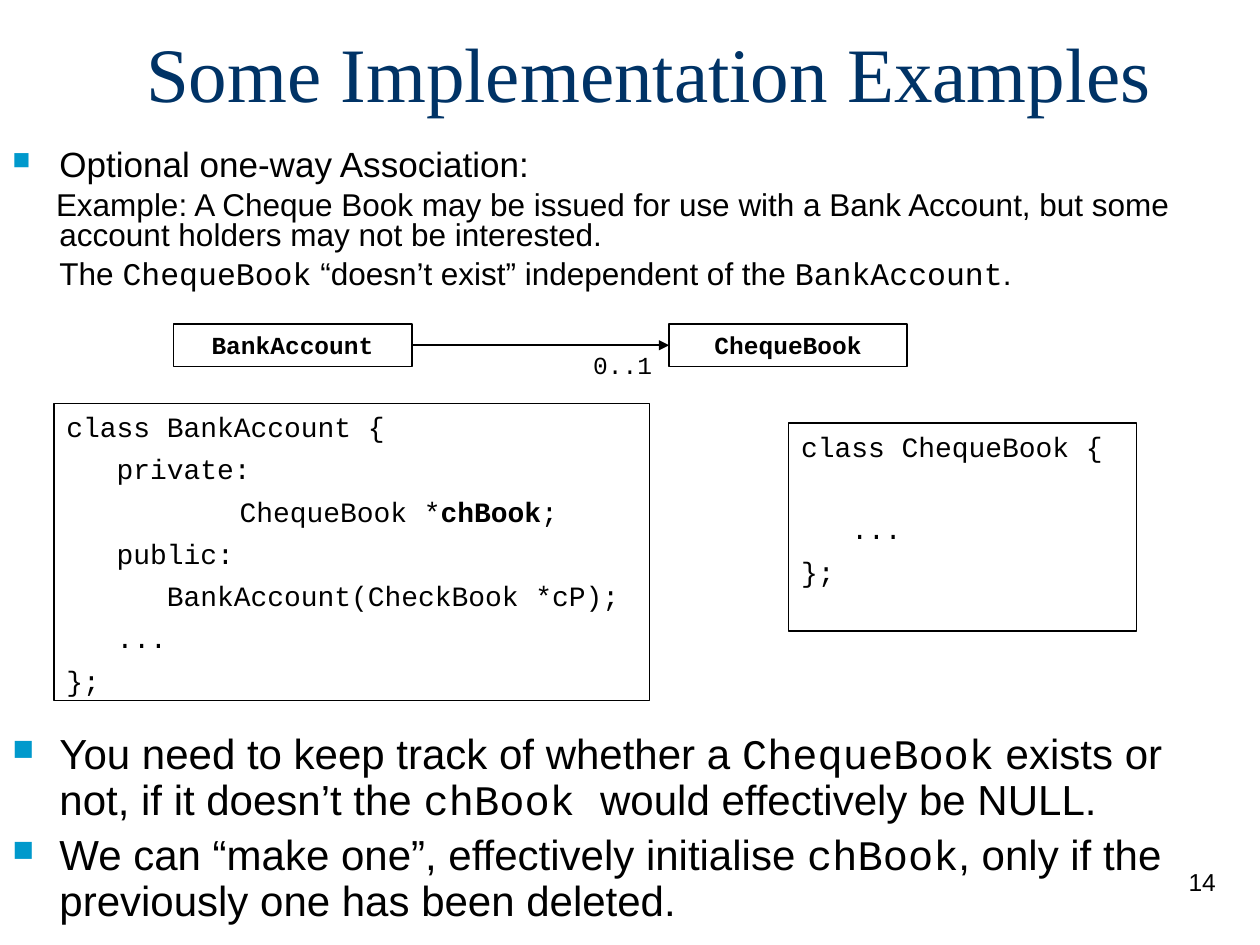
from dataclasses import dataclass

from lxml.etree import SubElement
from pptx import Presentation
from pptx.dml.color import RGBColor
from pptx.enum.shapes import MSO_CONNECTOR, MSO_SHAPE
from pptx.enum.text import MSO_ANCHOR, PP_ALIGN
from pptx.oxml.ns import qn
from pptx.util import Cm, Pt


@dataclass(frozen=True)
class Theme:
    navy: RGBColor = RGBColor(0x00, 0x33, 0x66)
    black: RGBColor = RGBColor(0, 0, 0)
    bullet: str = "0099CC"
    serif: str = "Times New Roman"
    sans: str = "Arial"
    mono: str = "Courier New"
    title: int = 44
    point: int = 24
    heading: int = 20
    detail: int = 18
    code: int = 16
    label: int = 14


theme = Theme()
HANGING = 0.95  # indent of bulleted text and of code, in cm


def add_box(left, top, width, height, line_width=None):
    """Add a text box, or an outlined rectangle when a line width is given."""
    area = Cm(left), Cm(top), Cm(width), Cm(height)
    if line_width is None:
        shape = slide.shapes.add_textbox(*area)
    else:
        shape = slide.shapes.add_shape(MSO_SHAPE.RECTANGLE, *area)
        shape.shadow.inherit = False
        shape.fill.background()
        shape.line.color.rgb = theme.black
        shape.line.width = Pt(line_width)
    shape.text_frame.word_wrap = True
    shape.text_frame.vertical_anchor = MSO_ANCHOR.TOP
    return shape


def add_text(shape, runs, size, font=theme.sans, color=theme.black, align=PP_ALIGN.LEFT,
             before=0, spacing=None, margin=0, indent=0, bullet=False):
    """Write one paragraph; runs are (text, style), style being "", "mono" or "bold"."""
    frame = shape.text_frame
    first = not frame.paragraphs[0].runs
    paragraph = frame.paragraphs[0] if first else frame.add_paragraph()
    properties = paragraph._p.get_or_add_pPr()
    properties.set("marL", str(Cm(margin)))
    properties.set("indent", str(Cm(indent)))
    if bullet:
        bullet_color = SubElement(properties, qn("a:buClr"))
        SubElement(bullet_color, qn("a:srgbClr"), val=theme.bullet)
        SubElement(properties, qn("a:buSzPct"), val="70000")
        SubElement(properties, qn("a:buChar"), char="■")
    paragraph.alignment = align
    paragraph.line_spacing = spacing
    paragraph.space_before = Pt(0 if first else before)
    paragraph.font.size = Pt(size)
    paragraph.font.name = font
    paragraph.font.color.rgb = color
    for text, style in runs:
        run = paragraph.add_run()
        run.text = text
        if style == "mono":
            run.font.name = theme.mono
        elif style == "bold":
            run.font.bold = True


presentation = Presentation()
presentation.slide_width, presentation.slide_height = Cm(25.4), Cm(19.05)
slide = presentation.slides.add_slide(presentation.slide_layouts[6])

# Title
title = add_box(2.29, 0, 21.59, 2.51)
title.text_frame.vertical_anchor = MSO_ANCHOR.BOTTOM
add_text(title, [("Some Implementation Examples", "")], theme.title, theme.serif,
         theme.navy, PP_ALIGN.CENTER)

# Introduction
introduction = add_box(0, 2.92, 25.4, 3.4)
add_text(introduction, [("Optional one-way Association:", "")], theme.heading,
         spacing=0.8, margin=HANGING, indent=-HANGING, bullet=True)
add_text(introduction, [("Example: A Cheque Book may be issued for use with a Bank Account, "
                         "but some account holders may not be interested.", "")],
         theme.detail, before=4.5, spacing=0.8, margin=HANGING, indent=-0.07)
add_text(introduction, [("The ", ""), ("ChequeBook", "mono"),
                        (" “doesn’t exist” independent of the ", ""),
                        ("BankAccount", "mono"), (".", "")],
         theme.detail, before=4.5, spacing=0.8, margin=HANGING)

# Class diagram
classes = []
for name, left in (("BankAccount", 3.5), ("ChequeBook", 13.49)):
    class_box = add_box(left, 6.53, 4.8, 0.86, line_width=1)
    add_text(class_box, [(name, "bold")], theme.label, theme.mono, align=PP_ALIGN.CENTER)
    classes.append(class_box)

association = slide.shapes.add_connector(MSO_CONNECTOR.STRAIGHT, 0, 0, 0, 0)
association.begin_connect(classes[0], 3)
association.end_connect(classes[1], 1)
association.line.color.rgb = theme.black
association.line.width = Pt(1)
SubElement(association.line._get_or_add_ln(), qn("a:tailEnd"), type="triangle")
SubElement(association._element.spPr, qn("a:effectLst"))

multiplicity = add_box(11.71, 6.93, 1.7, 0.86)
multiplicity.text_frame.word_wrap = False
add_text(multiplicity, [("0..1", "")], theme.label, theme.mono)

# Code listings: each line is its runs, left margin and space before
LINE_GAP = 5
BLANK_LINE_GAP = 28
listings = [
    ((1.09, 8.13, 12.01, 5.99), [
        ([("class BankAccount {", "")], 0, LINE_GAP),
        ([("   private:", "")], 0, LINE_GAP),
        ([("ChequeBook *", ""), ("chBook", "bold"), (";", "")], 3.49, LINE_GAP),
        ([("   public:", "")], 0, LINE_GAP),
        ([("      BankAccount(CheckBook *cP);", "")], 0, LINE_GAP),
        ([("   ...", "")], 0, LINE_GAP),
        ([("};", "")], 0, LINE_GAP),
    ]),
    ((15.9, 8.53, 7.01, 4.19), [
        ([("class ChequeBook {", "")], 0, LINE_GAP),
        ([("   ...", "")], 0, BLANK_LINE_GAP),
        ([("};", "")], 0, LINE_GAP),
    ]),
]
for area, lines in listings:
    listing = add_box(*area, line_width=0.75)
    for runs, margin, gap in lines:
        add_text(listing, runs, theme.code, theme.mono, before=gap, margin=margin)

# Conclusions
conclusions = add_box(0, 14.66, 24.1, 4.39)
for runs in (
    [("You need to keep track of whether a ", ""), ("ChequeBook", "mono"),
     (" exists or not, if it doesn’t the ", ""), ("chBook ", "mono"),
     ("would effectively be NULL.", "")],
    [("We can “make one”, effectively initialise ", ""), ("chBook", "mono"),
     (", only if the previously one has been deleted.", "")],
):
    add_text(conclusions, runs, theme.point, before=6, spacing=0.9,
             margin=HANGING, indent=-HANGING, bullet=True)

# Slide number
number = add_box(19.48, 17.35, 5.28, 1.27)
add_text(number, [("14", "")], theme.label, align=PP_ALIGN.RIGHT)

presentation.save("out.pptx")
